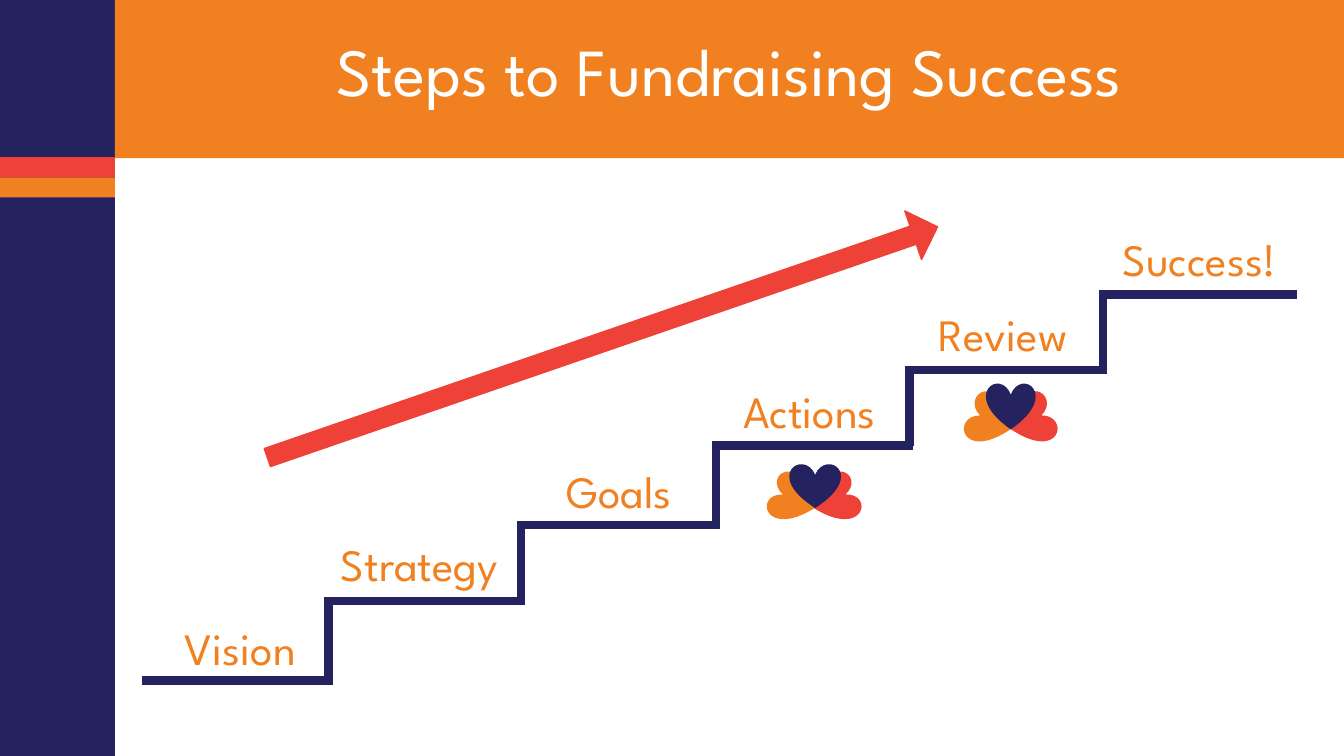
from lxml import etree
from pptx import Presentation
from pptx.dml.color import RGBColor
from pptx.enum.shapes import MSO_CONNECTOR, MSO_SHAPE
from pptx.enum.text import MSO_ANCHOR, PP_ALIGN
from pptx.oxml.ns import qn
from pptx.util import Inches, Pt

RECT, HEART, ARROW = MSO_SHAPE.RECTANGLE, MSO_SHAPE.HEART, MSO_SHAPE.RIGHT_ARROW
STRAIGHT = MSO_CONNECTOR.STRAIGHT
TOP, CENTER = MSO_ANCHOR.TOP, PP_ALIGN.CENTER
NAVY = RGBColor(0x25, 0x22, 0x60)
ORANGE = RGBColor(0xF1, 0x81, 0x20)
RED = RGBColor(0xEE, 0x42, 0x38)
WHITE = RGBColor(0xFF, 0xFF, 0xFF)
FONT = "League Spartan"

TITLE = "Steps to Fundraising Success"
BANDS = [
    ((0, 0, 1.14, 7.5), NAVY),
    ((1.14, 0, 12.19, 1.57), ORANGE),
    ((0, 1.76, 1.14, 0.2), ORANGE),
    ((0, 1.56, 1.14, 0.2), RED),
]
STEPS = [
    ("Vision", 1.41, 6.75, (1.43, 6.11, 1.91, 0.64)),
    ("Strategy", 3.26, 5.96, (3.15, 5.28, 2.02, 0.64)),
    ("Goals", 5.17, 5.21, (5.13, 4.55, 2.02, 0.64)),
    ("Actions", 7.1, 4.42, (7, 3.76, 2.06, 0.64)),
    ("Review", 9.02, 3.67, (8.97, 2.99, 1.96, 0.64)),
    ("Success!", 10.94, 2.92, (10.79, 2.25, 2.22, 0.64)),
]
END = 12.86
HALF = 0.04
TILT = 67.2
HEARTS = [
    ((7.63, 4.72, 0.48, 0.46), -TILT, ORANGE),
    ((8.04, 4.72, 0.48, 0.46), TILT, RED),
    ((7.83, 4.6, 0.51, 0.44), 0, NAVY),
    ((9.57, 3.94, 0.51, 0.45), -TILT, ORANGE),
    ((9.97, 3.94, 0.51, 0.45), TILT, RED),
    ((9.78, 3.8, 0.49, 0.46), 0, NAVY),
]


def add_shape(slide, kind, box, color, turn=0):
    """Add a filled preset shape without outline or shadow."""
    shape = slide.shapes.add_shape(kind, *map(Inches, box))
    shape.shadow.inherit = False
    shape.fill.solid()
    shape.fill.fore_color.rgb = color
    shape.line.fill.background()
    shape.rotation = turn
    return shape


def add_line(slide, *ends):
    """Add one navy stretch of the staircase."""
    line = slide.shapes.add_connector(STRAIGHT, *map(Inches, ends))
    line.line.color.rgb = NAVY
    line.line.width = Pt(6)
    etree.SubElement(line.element.spPr, qn("a:effectLst"))


def write(shape, text, size, color):
    """Put one centred run of text in a shape."""
    frame = shape.text_frame
    frame.word_wrap = True
    frame.vertical_anchor = TOP
    para = frame.paragraphs[0]
    para.alignment = CENTER
    para.line_spacing = 1.0
    run = para.add_run()
    run.text = text
    run.font.name = FONT
    run.font.size = Pt(size)
    run.font.color.rgb = color


def main():
    """Build the staircase slide."""
    deck = Presentation()
    deck.slide_width, deck.slide_height = Inches(13.33), Inches(7.5)
    slide = deck.slides.add_slide(deck.slide_layouts[5])

    for box, color in BANDS:
        add_shape(slide, RECT, box, color)

    title = slide.shapes.title
    title.left, title.top = Inches(1.14), Inches(0.24)
    title.width, title.height = Inches(12.19), Inches(0.91)
    write(title, TITLE, 48, WHITE)
    slide.shapes.element.append(title.element)

    for i, (name, x, y, box) in enumerate(STEPS):
        if i < len(STEPS) - 1:
            _, right, rise, _ = STEPS[i + 1]
            add_line(slide, x, y, right + HALF, y)
            add_line(slide, right, y, right, rise - HALF)
        else:
            add_line(slide, x, y, END, y)
        label = slide.shapes.add_textbox(*map(Inches, box))
        write(label, name, 32, ORANGE)

    for box, turn, color in HEARTS:
        add_shape(slide, HEART, box, color, turn)

    arrow = add_shape(slide, ARROW, (2.46, 3.14, 7.03, 0.51), RED, 341)
    arrow.adjustments[0] = 0.37
    arrow.adjustments[1] = 0.5
    arrow.line.color.rgb = RED
    arrow.line.width = Pt(1)

    deck.save("out.pptx")


if __name__ == "__main__":
    main()
